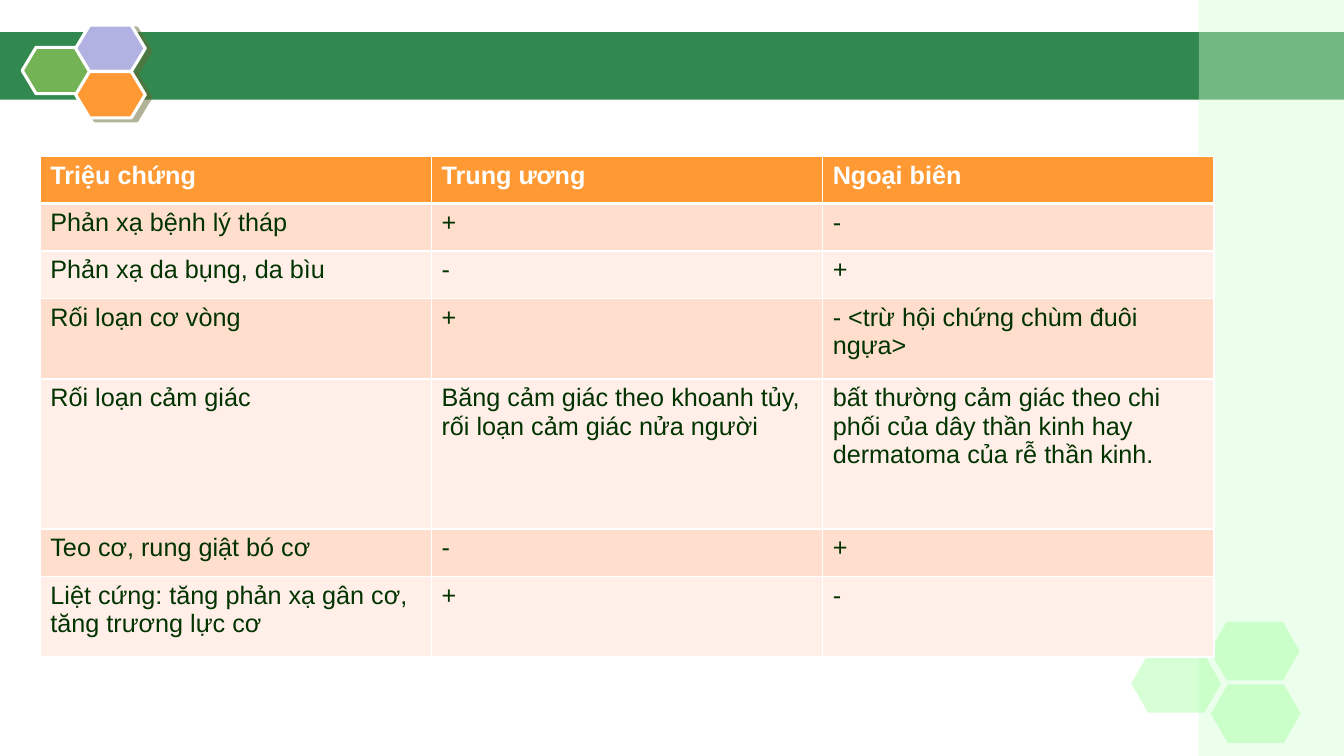
"""Build a slide comparing central and peripheral neurological signs."""
from dataclasses import dataclass

from lxml import etree
from pptx import Presentation
from pptx.dml.color import RGBColor
from pptx.enum.shapes import MSO_SHAPE
from pptx.oxml.ns import qn
from pptx.util import Inches, Pt

RECTANGLE = MSO_SHAPE.RECTANGLE
HEXAGON = MSO_SHAPE.HEXAGON

WHITE = RGBColor(0xFF, 0xFF, 0xFF)
BANNER_GREEN = RGBColor(0x31, 0x89, 0x4F)
LEAF_GREEN = RGBColor(0x74, 0xB3, 0x55)
LAVENDER = RGBColor(0xB1, 0xB2, 0xE1)
ORANGE = RGBColor(0xFF, 0x99, 0x33)
PALE_GREEN = RGBColor(0xD1, 0xFF, 0xD1)
MINT = RGBColor(0x8C, 0xFF, 0x8C)
OLIVE = RGBColor(0x66, 0x66, 0x33)
DARK_GREEN = RGBColor(0x00, 0x33, 0x00)
BANDS = (RGBColor(0xFF, 0xEF, 0xE8), RGBColor(0xFF, 0xDE, 0xCE))

COLUMN_WIDTH = 3.88
RULE = 1
HEADER_RULE = 3
FONT_FORMAT = {"name": "Arial", "size": Pt(18)}


@dataclass(frozen=True)
class Decoration:
    """A background shape, measured in inches."""

    kind: MSO_SHAPE
    left: float
    top: float
    width: float
    height: float
    color: RGBColor
    opacity: int = 100
    corner: float | None = None
    outlined: bool = False
    shadowed: bool = False


@dataclass(frozen=True)
class Symptom:
    """One table row with its height in inches."""

    height: float
    cells: tuple[str, str, str]


def badge(left: float, top: float, color: RGBColor, shadowed: bool) -> Decoration:
    """Describe an outlined hexagon of the banner emblem."""
    return Decoration(HEXAGON, left, top, 0.69, 0.46, color, corner=0.3,
                      outlined=True, shadowed=shadowed)


def pale_hexagon(left: float, top: float) -> Decoration:
    """Describe a translucent hexagon of the corner cluster."""
    return Decoration(HEXAGON, left, top, 0.89, 0.58, MINT, 35, 0.286)


DECORATIONS = (
    Decoration(RECTANGLE, 0, 0.32, 13.33, 0.67, BANNER_GREEN),
    badge(0.22, 0.47, LEAF_GREEN, False),
    badge(0.75, 0.25, LAVENDER, True),
    badge(0.75, 0.71, ORANGE, True),
    Decoration(RECTANGLE, 11.89, 0, 1.44, 7.5, PALE_GREEN, 40),
    pale_hexagon(11.22, 6.49),
    pale_hexagon(12, 6.17),
    pale_hexagon(12.01, 6.79),
)

SYMPTOMS = (
    Symptom(0.47, ("Triệu chứng", "Trung ương", "Ngoại biên")),
    Symptom(0.47, ("Phản xạ bệnh lý tháp", "+", "-")),
    Symptom(0.47, ("Phản xạ da bụng, da bìu", "-", "+")),
    Symptom(0.8, ("Rối loạn cơ vòng", "+", "- <trừ hội chứng chùm đuôi ngựa>")),
    Symptom(1.49, (
        "Rối loạn cảm giác",
        "Băng cảm giác theo khoanh tủy, rối loạn cảm giác nửa người",
        "bất thường cảm giác theo chi phối của dây thần kinh hay "
        "dermatoma của rễ thần kinh.",
    )),
    Symptom(0.47, ("Teo cơ, rung giật bó cơ", "-", "+")),
    Symptom(0.8, ("Liệt cứng: tăng phản xạ gân cơ, tăng trương lực cơ", "+", "-")),
)


def add_color(parent, color: RGBColor, opacity: int = 100) -> None:
    """Append an RGB colour, translucent if asked, to a fill or effect."""
    rgb = etree.SubElement(parent, qn("a:srgbClr"), val=str(color))
    if opacity < 100:
        etree.SubElement(rgb, qn("a:alpha"), val=str(opacity * 1000))


def add_shadow(shape) -> None:
    """Cast a hard shadow to the lower right."""
    effects = shape._element.spPr.find(qn("a:effectLst"))
    shadow = etree.SubElement(effects, qn("a:outerShdw"), blurRad="0",
                              dist=str(Pt(4.5)), dir=str(27 * 60000),
                              algn="ctr", rotWithShape="0")
    add_color(shadow, OLIVE, 50)


def draw_decoration(slide, decoration: Decoration) -> None:
    """Draw one background shape."""
    shape = slide.shapes.add_shape(
        decoration.kind, Inches(decoration.left), Inches(decoration.top),
        Inches(decoration.width), Inches(decoration.height))
    shape.shadow.inherit = False
    if decoration.corner is not None:
        shape.adjustments[0] = decoration.corner
    shape.fill.solid()
    shape.fill.fore_color.rgb = decoration.color
    if decoration.opacity < 100:
        solid = shape._element.spPr.find(qn("a:solidFill"))
        solid.clear()
        add_color(solid, decoration.color, decoration.opacity)
    if decoration.outlined:
        shape.line.color.rgb = WHITE
        shape.line.width = Pt(2.25)
    else:
        shape.line.fill.background()
    if decoration.shadowed:
        add_shadow(shape)


def add_borders(cell, top: float, bottom: float) -> None:
    """Rule all four sides of a cell in white."""
    properties = cell._tc.get_or_add_tcPr()
    for side, width in (("L", RULE), ("R", RULE), ("T", top), ("B", bottom)):
        line = etree.SubElement(properties, qn(f"a:ln{side}"), w=str(Pt(width)))
        add_color(etree.SubElement(line, qn("a:solidFill")), WHITE)


def fill_cell(cell, text: str, row: int) -> None:
    """Write and format one cell according to its row."""
    is_header = row == 0
    add_borders(cell, HEADER_RULE if row == 1 else RULE,
                HEADER_RULE if is_header else RULE)
    cell.fill.solid()
    cell.fill.fore_color.rgb = ORANGE if is_header else BANDS[row % 2]
    cell.text = text
    font = cell.text_frame.paragraphs[0].runs[0].font
    for attribute, value in {**FONT_FORMAT, "bold": is_header}.items():
        setattr(font, attribute, value)
    font.color.rgb = WHITE if is_header else DARK_GREEN


def draw_comparison(slide) -> None:
    """Draw the table of symptoms."""
    columns = len(SYMPTOMS[0].cells)
    height = sum(symptom.height for symptom in SYMPTOMS)
    comparison = slide.shapes.add_table(
        len(SYMPTOMS), columns, Inches(0.4), Inches(1.55),
        Inches(COLUMN_WIDTH * columns), Inches(height)).table
    for column in comparison.columns:
        column.width = Inches(COLUMN_WIDTH)
    for row, symptom in enumerate(SYMPTOMS):
        comparison.rows[row].height = Inches(symptom.height)
        for column, text in enumerate(symptom.cells):
            fill_cell(comparison.cell(row, column), text, row)


def main() -> None:
    """Build and save the slide."""
    presentation = Presentation()
    presentation.slide_width = Inches(13.33)
    presentation.slide_height = Inches(7.5)
    slide = presentation.slides.add_slide(presentation.slide_layouts[6])
    for decoration in DECORATIONS:
        draw_decoration(slide, decoration)
    draw_comparison(slide)
    presentation.save("out.pptx")


if __name__ == "__main__":
    main()
